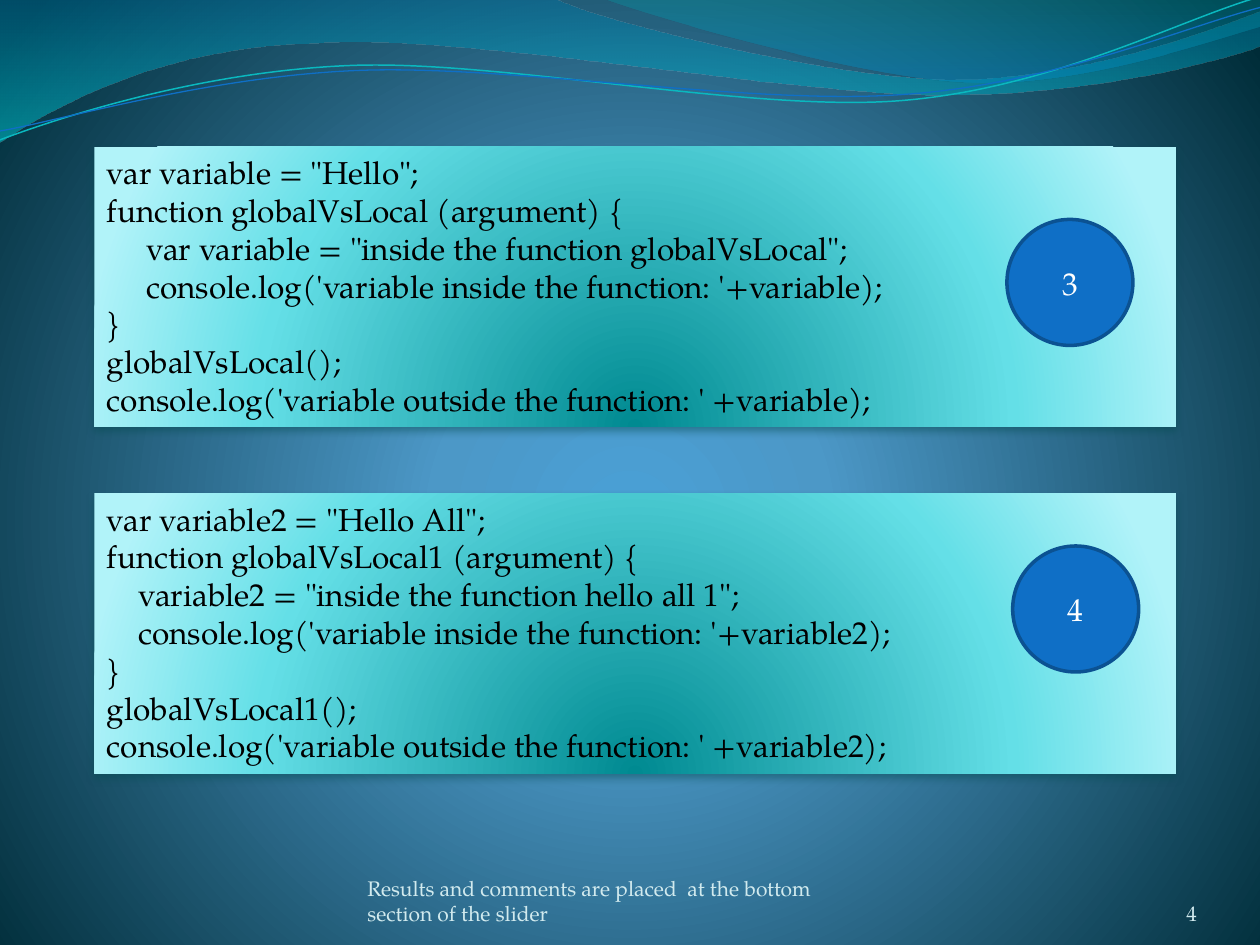
import math
from dataclasses import dataclass

from lxml import etree
from pptx import Presentation
from pptx.dml.color import RGBColor
from pptx.enum import shapes, text
from pptx.oxml import ns
from pptx import util as u

FONT = "TeX Gyre Pagella"
HUES = {
    "ink": "000000", "white": "FFFFFF", "note": "D1EAEE",
    "blue": "0F6FC6", "rim": "0B5292", "cyan": "0AB8BF", "shade": "024B4E",
}
LEFT, RIGHT, MID = text.PP_ALIGN.LEFT, text.PP_ALIGN.RIGHT, text.PP_ALIGN.CENTER
TOP, CORE, LOW = (text.MSO_ANCHOR.TOP, text.MSO_ANCHOR.MIDDLE,
                  text.MSO_ANCHOR.BOTTOM)
TILT = -2.7  # degrees, for the two thin lines

deck = Presentation()
deck.slide_width, deck.slide_height = u.Inches(10), u.Inches(7.5)
CELL = deck.slide_width / 120  # the grid has 120 columns and 90 rows


@dataclass
class Box:
    col: float
    row: float
    cols: float
    rows: float

    def emu(self) -> list[int]:
        return [round(n * CELL) for n in (self.col, self.row, self.cols, self.rows)]


@dataclass
class Blend:
    stops: list  # (place, hue, opacity), all but hue in percent
    focus: tuple = ()  # left, top, right, bottom; empty means top to bottom


@dataclass
class Wave:
    start: tuple
    steps: list  # two numbers for a line, six for a curve
    blend: Blend | None = None
    hue: str = ""
    width: float = 0
    pivot: tuple = ()  # centre of the tilt


@dataclass
class Panel:
    box: Box
    disc: Box
    mark: str
    inset: float  # indent of the function body, in points
    lines: list


def rgb(name: str) -> RGBColor:
    return RGBColor.from_string(HUES[name])


def sub(up, tag: str, **attrs):
    return etree.SubElement(up, ns.qn(tag), {k: str(v) for k, v in attrs.items()})


def shade(fill, root, blend: Blend) -> None:
    fill.gradient()
    grad = root.find(".//" + ns.qn("a:gradFill"))
    for kid in list(grad):
        grad.remove(kid)
    stops = sub(grad, "a:gsLst")
    for place, hue, alpha in blend.stops:
        tint = sub(sub(stops, "a:gs", pos=place * 1000), "a:srgbClr", val=hue)
        if alpha < 100:
            sub(tint, "a:alpha", val=alpha * 1000)
    if blend.focus:
        sides = {k: n * 1000 for k, n in zip("ltrb", blend.focus)}
        sub(sub(grad, "a:path", path="circle"), "a:fillToRect", **sides)
    else:
        sub(grad, "a:lin", ang=5400000, scaled=1)


def write(shape, lines: list, *, size=18, hue="ink", align=LEFT, anchor=TOP,
          pad=True, inset=0.0, body=(), grow=False) -> None:
    frame = shape.text_frame
    frame.word_wrap, frame.vertical_anchor = True, anchor
    frame.auto_size = (text.MSO_AUTO_SIZE.SHAPE_TO_FIT_TEXT if grow
                       else text.MSO_AUTO_SIZE.NONE)
    if not pad:
        frame.margin_left = frame.margin_right = 0
        frame.margin_top = frame.margin_bottom = 0
    for i, line in enumerate(lines):
        par = frame.add_paragraph() if i else frame.paragraphs[0]
        par.alignment = align
        if i in body:
            par._p.get_or_add_pPr().set("marL", str(u.Pt(inset)))
        run = par.add_run()
        run.text = line
        run.font.name, run.font.size = FONT, u.Pt(size)
        run.font.color.rgb = rgb(hue)


def level(spot: tuple, pivot: tuple) -> tuple:
    """Give the spot as it lies before the tilt, in EMU."""
    x, y = spot
    if pivot:
        turn = math.radians(-TILT)
        dx, dy = x - pivot[0], y - pivot[1]
        x = pivot[0] + dx * math.cos(turn) - dy * math.sin(turn)
        y = pivot[1] + dx * math.sin(turn) + dy * math.cos(turn)
    return u.Inches(x), u.Inches(y)


def bend(shape, steps: list) -> None:
    """Join each three segments of a curved step into one Bezier curve."""
    segs = iter(shape._element.findall(".//" + ns.qn("a:lnTo")))
    for step in steps:
        first = next(segs)
        if len(step) == 6:
            curve = etree.Element(ns.qn("a:cubicBezTo"))
            first.addprevious(curve)
            for seg in (first, next(segs), next(segs)):
                curve.append(seg[0])
                seg.getparent().remove(seg)


def sweep(wave: Wave) -> None:
    spots = [step[i:i + 2] for step in wave.steps for i in range(0, len(step), 2)]
    pen = slide.shapes.build_freeform(*level(wave.start, wave.pivot))
    pen.add_line_segments([level(s, wave.pivot) for s in spots],
                          close=bool(wave.blend))
    shape = pen.convert_to_shape()
    bend(shape, wave.steps)
    shape.shadow.inherit = False
    if wave.blend:
        shade(shape.fill, shape._element, wave.blend)
        shape.line.fill.background()
    else:
        shape.rotation = TILT
        shape.fill.background()
        shape.line.color.rgb = rgb(wave.hue)
        shape.line.width = u.Pt(wave.width)


def show(panel: Panel) -> None:
    card = slide.shapes.add_shape(shapes.MSO_SHAPE.RECTANGLE, *panel.box.emu())
    shade(card.fill, card._element, GLOW)
    card.line.fill.background()
    card.shadow.inherit = False
    drop = sub(card._element.spPr.find(ns.qn("a:effectLst")), "a:outerShdw",
               blurRad=u.Pt(4.5), dist=u.Pt(3), dir=5400000, rotWithShape=0)
    sub(sub(drop, "a:srgbClr", val=HUES["shade"]), "a:alpha", val=48000)
    write(card, panel.lines, inset=panel.inset, body=(2, 3), grow=True)

    disc = slide.shapes.add_shape(shapes.MSO_SHAPE.OVAL, *panel.disc.emu())
    disc.shadow.inherit = False
    disc.fill.solid()
    disc.fill.fore_color.rgb = rgb("blue")
    disc.line.color.rgb = rgb("rim")
    disc.line.width = u.Pt(2)
    write(disc, [panel.mark], hue="white", align=MID, anchor=CORE)


BACK = Blend([(0, "4AA0D6", 100), (25, "4C98C7", 100), (100, "002C38", 100)],
             (10, 110, 10, 100))
GLOW = Blend([(0, "008A91", 100), (68, "64DFE7", 100), (100, "B1F3F9", 100)],
             (50, 130, 50, -30))
WAVES = [
    Wave((0, 0), [(4.4, -0.01), (4.76, 0.17, 6.64, 0.63, 7.58, 0.63),
                  (8.53, 0.63, 9.58, 0.26, 10, 0.09), (10.01, 0.36),
                  (9.83, 0.44, 8.7, 0.76, 7.46, 0.75),
                  (6.22, 0.75, 3.82, 0.28, 2.57, 0.34),
                  (1.29, 0.36, 0.46, 0.83, -0.01, 1.13), (0, 0)],
         Blend([(0, "0074A1", 45), (100, "00C6CF", 55)])),
    Wave((4.79, -0.01), [(5.09, 0.11, 6.82, 0.62, 7.69, 0.65),
                         (8.56, 0.69, 9.61, 0.32, 10, 0.21), (10, 0),
                         (4.79, -0.01)],
         Blend([(0, "00A1A9", 30), (80, "008BBF", 45)])),
    Wave((0, 1.11), [(0.48, 0.93, 1.58, 0.57, 2.77, 0.52),
                     (3.95, 0.47, 5.93, 0.89, 7.13, 0.8),
                     (8.33, 0.71, 9.38, 0.15, 9.98, -0.02)],
         hue="cyan", width=0.85, pivot=(4.99, 0.58)),
    Wave((0, 1.04), [(0.47, 0.96, 1.64, 0.61, 2.83, 0.56),
                     (4.03, 0.51, 5.97, 0.84, 7.17, 0.75),
                     (8.36, 0.67, 9.41, 0.21, 10, 0.06)],
         hue="blue", width=0.75, pivot=(5, 0.59)),
]
PANELS = [
    Panel(Box(9, 14, 103, 26.64), Box(95.9, 20.9, 12, 12), "3", 22.5, [
        'var variable = "Hello";', "function globalVsLocal (argument) {",
        'var variable = "inside the function globalVsLocal";',
        "console.log('variable inside the function: '+variable);",
        "}", "globalVsLocal();",
        "console.log('variable outside the function: ' +variable);"]),
    Panel(Box(9, 47, 103, 26.64), Box(96.45, 52, 12, 12), "4", 18, [
        'var variable2 = "Hello All";', "function globalVsLocal1 (argument) {",
        'variable2 = "inside the function hello all 1";',
        "console.log('variable inside the function: '+variable2);",
        "}", "globalVsLocal1();",
        "console.log('variable outside the function: ' +variable2);"]),
]
NOTES = [
    (Box(104, 83.4, 10, 4.8), "4", RIGHT),
    (Box(35, 83.4, 44, 4.8),
     "Results and comments are placed  at the bottom section of the slider", LEFT),
]

# Background and waves
slide = deck.slides.add_slide(deck.slide_layouts[6])
shade(slide.background.fill, slide._element, BACK)
for wave in WAVES:
    sweep(wave)
# Code panels with their numbered discs
for panel in PANELS:
    show(panel)
# Footer and page number
for box, words, align in NOTES:
    write(slide.shapes.add_textbox(*box.emu()), [words], size=12, hue="note",
          align=align, anchor=LOW, pad=False)

deck.save("out.pptx")
